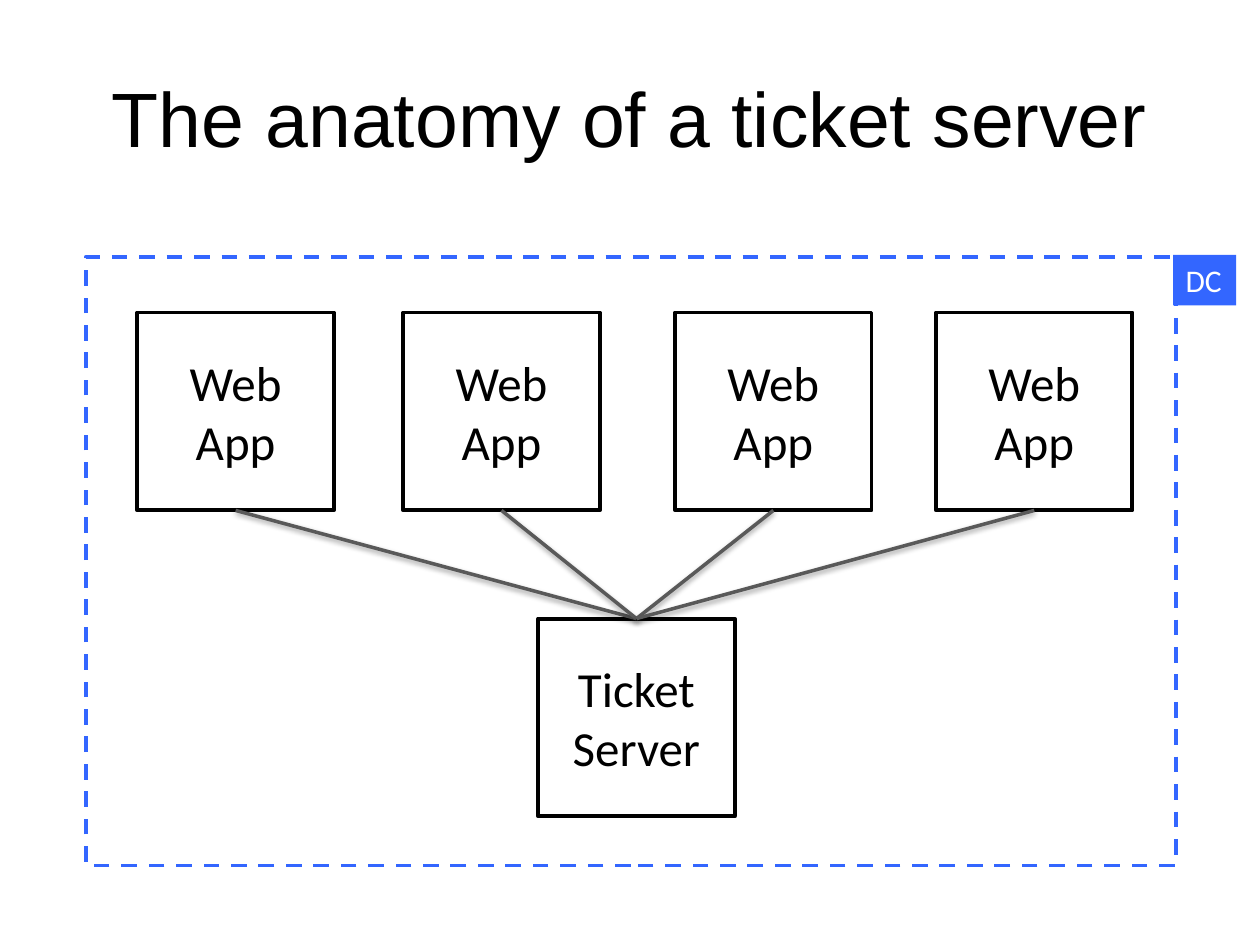
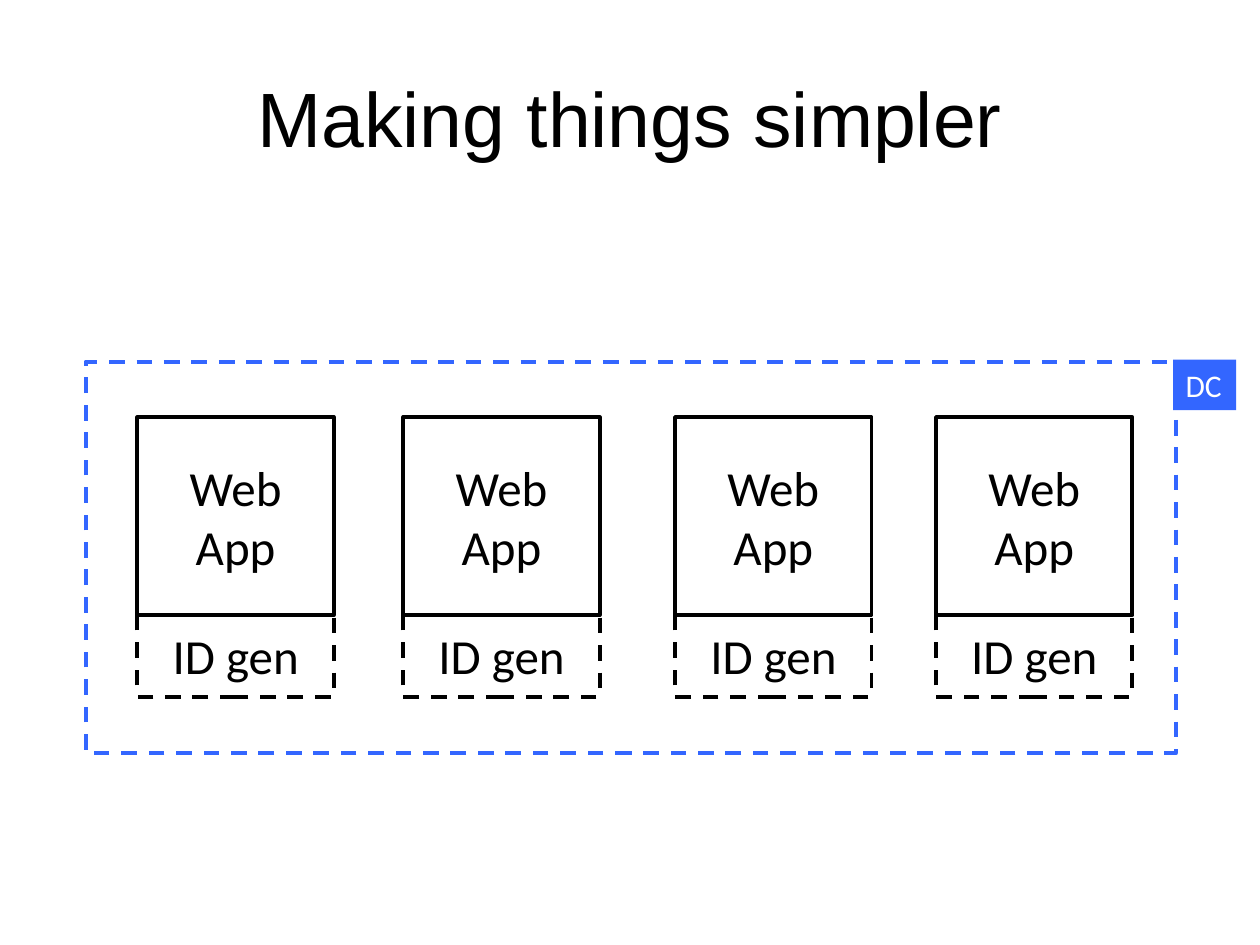
from pptx import Presentation
from pptx.dml.color import RGBColor
from pptx.enum.dml import MSO_LINE
from pptx.enum.shapes import MSO_CONNECTOR, MSO_SHAPE
from pptx.enum.text import MSO_ANCHOR, MSO_AUTO_SIZE, PP_ALIGN
from pptx.oxml import parse_xml
from pptx.oxml.ns import nsdecls
from pptx.util import Cm, Pt

BLACK = RGBColor(0x00, 0x00, 0x00)
WHITE = RGBColor(0xFF, 0xFF, 0xFF)
BLUE = RGBColor(0x33, 0x66, 0xFF)
GREY = RGBColor(0x59, 0x59, 0x59)

RECT, STRAIGHT, DASH = MSO_SHAPE.RECTANGLE, MSO_CONNECTOR.STRAIGHT, MSO_LINE.DASH
CENTER, LEFT = PP_ALIGN.CENTER, PP_ALIGN.LEFT
MIDDLE, TOP = MSO_ANCHOR.MIDDLE, MSO_ANCHOR.TOP
GROW = MSO_AUTO_SIZE.SHAPE_TO_FIT_TEXT
TOP_SIDE, BOTTOM_SIDE = 0, 2

APP_LEFTS = (2.77, 8.13, 13.61, 18.87)
BOX_W, BOX_H = 3.96, 3.99
ID_GEN_H = 1.7
FRAME_LEFT, FRAME_W = 1.73, 21.97

SHADOW = f"""<a:effectLst {nsdecls("a")}>
  <a:outerShdw blurRad="40000" dist="20000" dir="5400000" rotWithShape="0">
    <a:srgbClr val="000000"><a:alpha val="38000"/></a:srgbClr>
  </a:outerShdw>
</a:effectLst>"""


class Deck:
    """Holds the shared style and the slide being drawn; lengths are in cm."""

    title_font, body_font = "Arial", "Calibri"
    title_size, box_size, label_size = Pt(44), Pt(28), Pt(18)
    border, link_width = Pt(2.25), Pt(2)

    def __init__(self):
        self.prs = Presentation()
        self.prs.slide_width, self.prs.slide_height = Cm(25.4), Cm(19.05)
        self.s = None

    def slide(self, title):
        self.s = self.prs.slides.add_slide(self.prs.slide_layouts[6])
        sp = self.s.shapes.add_textbox(Cm(1.27), Cm(0.76), Cm(22.86), Cm(3.18))
        self.set_text(sp, title, self.title_font, self.title_size)

    def set_text(self, sp, text, font, size, color=BLACK, align=CENTER, anchor=MIDDLE):
        tf = sp.text_frame
        tf.word_wrap = True
        tf.vertical_anchor = anchor
        p = tf.paragraphs[0]
        p.text = text
        p.alignment = align
        p.font.name, p.font.size = font, size
        p.font.color.rgb = color

    def rect(self, left, top, width, height, fill=None, line=None, dash=None):
        sp = self.s.shapes.add_shape(RECT, Cm(left), Cm(top), Cm(width), Cm(height))
        sp.shadow.inherit = False
        if fill is None:
            sp.fill.background()
        else:
            sp.fill.solid()
            sp.fill.fore_color.rgb = fill
        if line is None:
            sp.line.fill.background()
        else:
            sp.line.color.rgb = line
            sp.line.width = self.border
            if dash:
                sp.line.dash_style = dash
        return sp

    def box(self, text, left, top, height=BOX_H, fill=None, dash=None):
        sp = self.rect(left, top, BOX_W, height, fill, BLACK, dash)
        self.set_text(sp, text, self.body_font, self.box_size)
        return sp

    def data_center(self, top, height):
        """Dashed frame with its DC label outside the top right corner."""
        self.rect(FRAME_LEFT, top, FRAME_W, height, line=BLUE, dash=DASH)
        sp = self.rect(FRAME_LEFT + FRAME_W - 0.05, top - 0.04, 1.27, 1.02, fill=BLUE)
        self.set_text(sp, "DC", self.body_font, self.label_size, WHITE, LEFT, TOP)
        sp.text_frame.word_wrap = False
        sp.text_frame.auto_size = GROW

    def link(self, upper, lower):
        c = self.s.shapes.add_connector(STRAIGHT, 0, 0, 0, 0)
        c.begin_connect(upper, BOTTOM_SIDE)
        c.end_connect(lower, TOP_SIDE)
        c.line.color.rgb = GREY
        c.line.width = self.link_width
        c._element.spPr.append(parse_xml(SHADOW))


def ticket_server_slide(deck):
    deck.slide("The anatomy of a ticket server")
    deck.data_center(5.18, 12.27)
    apps = [deck.box("Web App", left, 6.3) for left in APP_LEFTS]
    server = deck.box("Ticket Server", 10.85, 12.47, fill=WHITE)
    for app in apps:
        deck.link(app, server)


def simpler_slide(deck):
    app_top = 8.41
    deck.slide("Making things simpler")
    deck.data_center(7.29, 7.9)
    for left in APP_LEFTS:
        deck.box("ID gen", left, app_top + BOX_H - 0.05, ID_GEN_H, WHITE, DASH)
        deck.box("Web App", left, app_top, fill=WHITE)


def main():
    deck = Deck()
    ticket_server_slide(deck)
    simpler_slide(deck)
    deck.prs.save("out.pptx")


if __name__ == "__main__":
    main()
